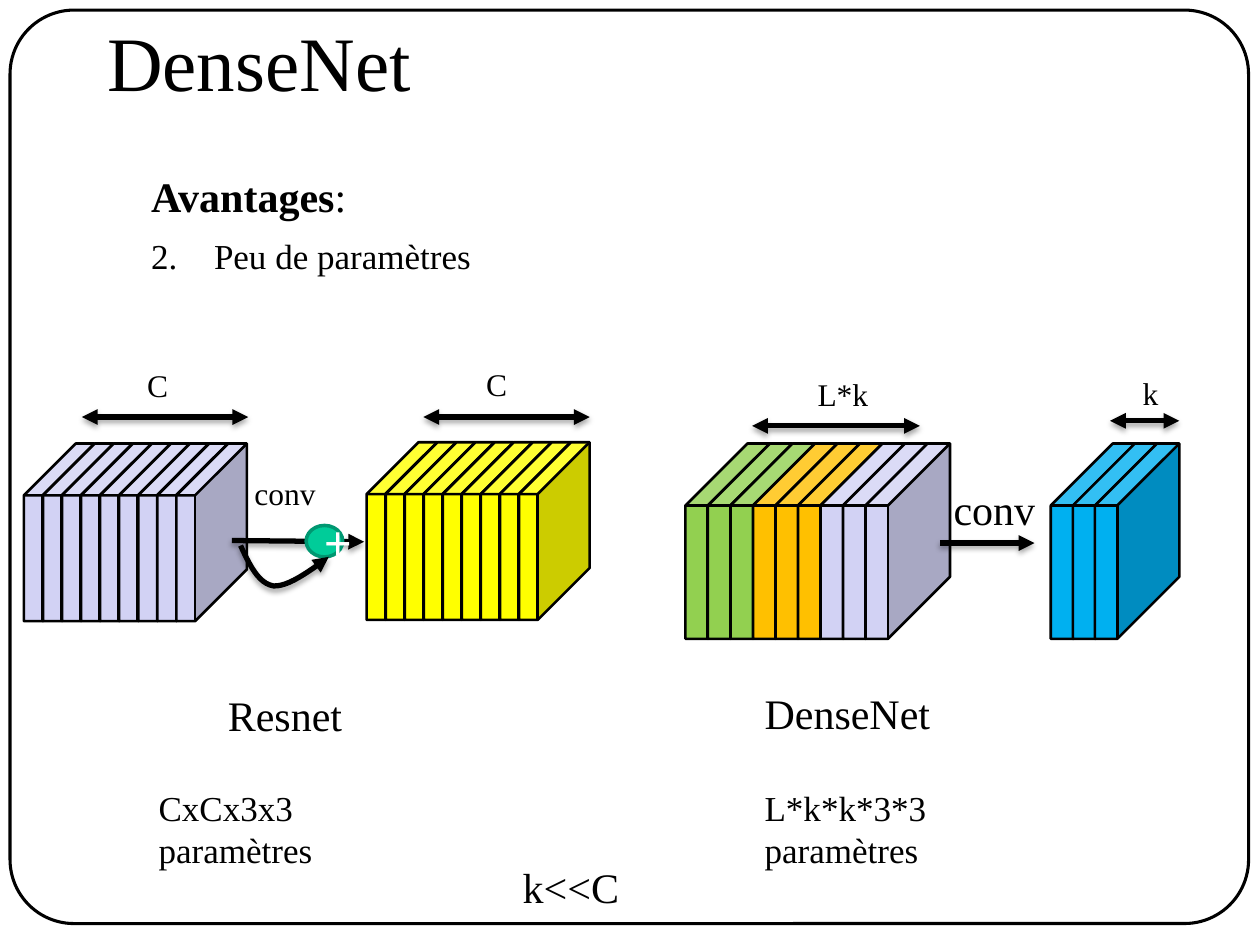
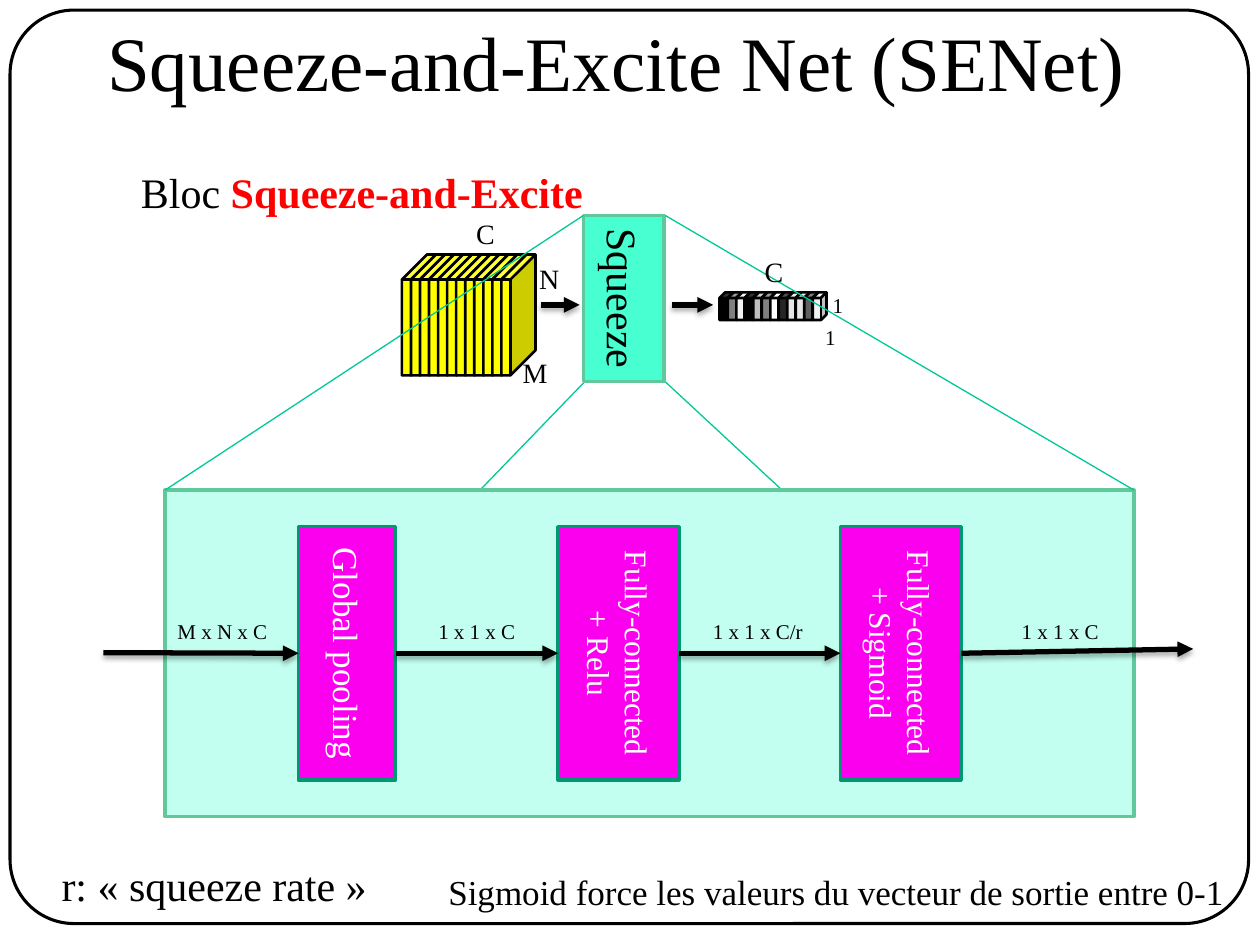
"""Build two slides on the DenseNet and Squeeze-and-Excite architectures."""
from lxml.etree import SubElement
from pptx import Presentation
from pptx.dml.color import RGBColor
from pptx.enum.shapes import MSO_CONNECTOR as CONNECTOR, MSO_SHAPE as SHAPE
from pptx.enum.text import MSO_ANCHOR as ANCHOR, PP_ALIGN as ALIGN
from pptx.oxml import parse_xml
from pptx.oxml.ns import nsdecls, qn
from pptx.util import Inches, Pt

FONT = "Times New Roman"
BLACK = RGBColor(0x00, 0x00, 0x00)
WHITE = RGBColor(0xFF, 0xFF, 0xFF)
RED = RGBColor(0xFF, 0x00, 0x00)
GREEN = RGBColor(0x92, 0xD0, 0x50)
ORANGE = RGBColor(0xFF, 0xC0, 0x00)
LAVENDER = RGBColor(0xD2, 0xD2, 0xF4)
YELLOW = RGBColor(0xFF, 0xFF, 0x00)
BLUE = RGBColor(0x00, 0xB0, 0xF0)
TEAL = RGBColor(0x00, 0xCC, 0x99)
DARK_TEAL = RGBColor(0x00, 0x97, 0x71)
FUNNEL_TEAL = RGBColor(0x00, 0xC8, 0x96)
EDGE_GREEN = RGBColor(0x60, 0xC9, 0x9C)
AQUA = RGBColor(0x47, 0xFF, 0xD1)
PALE_AQUA = RGBColor(0xC2, 0xFF, 0xF0)
MAGENTA = RGBColor(0xFA, 0x00, 0xEE)
CHANNEL_GREYS = [RGBColor(level, level, level) for level in (
    0x00, 0x80, 0xF2, 0x00, 0xBF, 0x80, 0xFF, 0x26, 0xE6, 0xE6, 0x60, 0xF2)]
SHADOW = (f'<a:effectLst {nsdecls("a")}><a:outerShdw blurRad="39370" dist="22860" dir="5400000">'
          '<a:srgbClr val="000000"><a:alpha val="35000"/></a:srgbClr></a:outerShdw></a:effectLst>')
NO_SHADOW = f'<a:effectLst {nsdecls("a")}/>'


def add_block(slide, kind, box, fill, edge, width, text="", size=18, colour=WHITE, vertical=False):
    """Add a preset shape with optional centred text."""
    shape = slide.shapes.add_shape(kind, *map(Inches, box))
    shape.shadow.inherit = False
    if fill is None:
        shape.fill.background()
    else:
        shape.fill.solid()
        shape.fill.fore_color.rgb = fill
    shape.line.color.rgb = edge
    shape.line.width = Pt(width)
    if text:
        shape.text_frame.text = text
        shape.text_frame.vertical_anchor = ANCHOR.MIDDLE
        if vertical:
            shape.element.find(".//" + qn("a:bodyPr")).set("vert", "vert")
        for paragraph in shape.text_frame.paragraphs:
            paragraph.alignment = ALIGN.CENTER
            font = paragraph.runs[0].font
            font.name, font.size, font.color.rgb = FONT, Pt(size), colour
    return shape


def add_line(slide, points, colour=BLACK, width=3, ends=("tailEnd",)):
    """Add a straight connector, or an open curve through more than two points."""
    points = [(Inches(x), Inches(y)) for x, y in points]
    if len(points) == 2:
        line = slide.shapes.add_connector(CONNECTOR.STRAIGHT, *points[0], *points[1])
    else:
        builder = slide.shapes.build_freeform(*points[0])
        builder.add_line_segments(points[1:], close=False)
        line = builder.convert_to_shape()
        line.fill.background()
    line.line.color.rgb = colour
    line.line.width = Pt(width)
    properties = line.element.spPr
    for end in ends:
        SubElement(properties.find(qn("a:ln")), qn(f"a:{end}"), type="triangle")
    properties.append(parse_xml(SHADOW if ends else NO_SHADOW))
    return line


presentation = Presentation()
presentation.slide_width, presentation.slide_height = Inches(10), Inches(7.5)

slides = []
for title_text in ("DenseNet", "Squeeze-and-Excite Net (SENet)"):
    slide = presentation.slides.add_slide(presentation.slide_layouts[5])
    frame = add_block(slide, SHAPE.ROUNDED_RECTANGLE, (0.08, 0.08, 9.83, 7.25), None, BLACK, 1.75)
    frame.adjustments[0] = 0.07
    title = slide.shapes.title
    title.left, title.top, title.width, title.height = map(Inches, (0.75, -0.14, 8.5, 1.25))
    title.text_frame.text = title_text
    title.text_frame.vertical_anchor = ANCHOR.MIDDLE
    paragraph = title.text_frame.paragraphs[0]
    paragraph.alignment = ALIGN.LEFT
    font = paragraph.runs[0].font
    font.name, font.size, font.color.rgb = FONT, Pt(44), BLACK
    slides.append(slide)
dense_slide, squeeze_slide = slides

for corner, panel_corner in (((5.28, 3.03), (9, 6.48)), ((4.64, 3.03), (1.31, 6.48))):
    add_line(squeeze_slide, (corner, panel_corner), FUNNEL_TEAL, 0.75, ())

stacks = [
    (dense_slide, 5.44, 6.87, 3.52, 0.67, 1.55, 0.735, [GREEN] * 3 + [ORANGE] * 3 + [LAVENDER] * 3),
    (dense_slide, 8.34, 8.69, 3.52, 0.67, 1.55, 0.735, [BLUE] * 3),
    (dense_slide, 0.19, 1.4, 3.52, 0.56, 1.41, 0.735, [LAVENDER] * 9),
    (dense_slide, 2.91, 4.12, 3.51, 0.56, 1.41, 0.735, [YELLOW] * 9),
    (squeeze_slide, 5.71, 6.45, 2.32, 0.11, 0.22, 0.41, CHANNEL_GREYS),
    (squeeze_slide, 3.19, 3.98, 2.02, 0.27, 0.96, 0.735, [YELLOW] * 12),
]
for slide, first, last, top, width, height, depth, colours in stacks:
    step = (last - first) / (len(colours) - 1)
    for index, colour in enumerate(colours):
        cube = add_block(slide, SHAPE.CUBE, (first + index * step, top, width, height), colour, BLACK, 1.5)
        cube.adjustments[0] = depth

add_line(dense_slide, ((7.46, 4.31), (8.21, 4.31)))
add_line(dense_slide, ((1.84, 4.29), (2.89, 4.3)))
addition = add_block(dense_slide, SHAPE.OVAL, (2.43, 4.17, 0.29, 0.25), TEAL, DARK_TEAL, 2, "+", 28)
addition.text_frame.paragraphs[0].runs[0].font.bold = True

skip_points = [(1.91, 4.33)]
for controls in (((1.91, 4.33), (1.98, 4.48), (2.05, 4.63), (2.17, 4.65)),
                 ((2.17, 4.65), (2.28, 4.66), (2.45, 4.54), (2.61, 4.42))):
    for step in range(1, 13):
        t = step / 12
        weights = ((1 - t) ** 3, 3 * t * (1 - t) ** 2, 3 * t ** 2 * (1 - t), t ** 3)
        skip_points.append(tuple(sum(weight * value for weight, value in zip(weights, axis))
                                 for axis in zip(*controls)))
add_line(dense_slide, skip_points)

for left, right, y in ((0.65, 1.97, 3.31), (3.36, 4.68, 3.31), (5.97, 7.3, 3.38), (8.81, 9.36, 3.34)):
    add_line(dense_slide, ((left, y), (right, y)), ends=("headEnd", "tailEnd"))

add_block(squeeze_slide, SHAPE.RECTANGLE, (4.63, 1.71, 0.64, 1.32), AQUA, EDGE_GREEN, 2,
          "Squeeze", 24, BLACK, True)
add_line(squeeze_slide, ((4.29, 2.42), (4.6, 2.42)))
add_line(squeeze_slide, ((5.33, 2.42), (5.66, 2.42)))
add_block(squeeze_slide, SHAPE.RECTANGLE, (1.31, 3.89, 7.69, 2.59), PALE_AQUA, EDGE_GREEN, 2)
for corner, panel_corner in (((4.63, 1.71), (1.31, 3.89)), ((5.28, 1.71), (9, 3.89))):
    add_line(squeeze_slide, (corner, panel_corner), FUNNEL_TEAL, 0.75, ())

layers = [add_block(squeeze_slide, SHAPE.RECTANGLE, (left, 4.18, width, 2.01), MAGENTA, DARK_TEAL, 2,
                    text, size, WHITE, True)
          for left, width, text, size in ((2.37, 0.77, "Global pooling", 20),
                                          (4.43, 0.96, "Fully-connected\n+ Relu", 18),
                                          (6.67, 0.96, "Fully-connected\n+ Sigmoid", 18))]
flow = [((0.82, 5.18), (2.37, 5.18)), ((3.14, 5.18), (4.43, 5.18)),
        ((5.39, 5.18), (6.67, 5.18)), ((7.63, 5.18), (9.47, 5.15))]
for points, source, target in zip(flow, [None] + layers, layers + [None]):
    arrow = add_line(squeeze_slide, points)
    if source:
        arrow.begin_connect(source, 3)
    if target:
        arrow.end_connect(target, 1)

labels = [
    (dense_slide, 1.71, 5.42, 1.12, 0.5, 24, "Resnet"),
    (dense_slide, 5.97, 5.41, 1.53, 0.5, 24, "DenseNet"),
    (dense_slide, 7.47, 3.79, 0.86, 0.5, 24, "conv"),
    (dense_slide, 1.92, 3.71, 0.69, 0.4, 18, "conv"),
    (dense_slide, 1.07, 2.86, 0.37, 0.4, 18, "C"),
    (dense_slide, 3.76, 2.85, 0.37, 0.4, 18, "C"),
    (dense_slide, 6.39, 2.93, 0.61, 0.4, 18, "L*k"),
    (dense_slide, 8.97, 2.92, 0.33, 0.4, 18, "k"),
    (dense_slide, 1.16, 6.19, 2.55, 0.44, 20, "CxCx3x3 paramètres"),
    (dense_slide, 5.97, 6.19, 2.77, 0.44, 20, "L*k*k*3*3 paramètres"),
    (dense_slide, 4.05, 6.79, 0.97, 0.5, 24, "k<<C"),
    (squeeze_slide, 5.97, 1.97, 0.35, 0.37, 16, "C"),
    (squeeze_slide, 6.51, 2.27, 0.29, 0.3, 12, "1"),
    (squeeze_slide, 6.45, 2.53, 0.29, 0.3, 12, "1"),
    (squeeze_slide, 3.68, 1.67, 0.35, 0.37, 16, "C"),
    (squeeze_slide, 4.18, 2.03, 0.36, 0.37, 16, "N"),
    (squeeze_slide, 4.05, 2.77, 0.4, 0.37, 16, "M"),
    (squeeze_slide, 1.31, 4.86, 0.92, 0.3, 12, "M x N x C"),
    (squeeze_slide, 3.38, 4.86, 0.82, 0.3, 12, "1 x 1 x C"),
    (squeeze_slide, 5.56, 4.86, 0.92, 0.3, 12, "1 x 1 x C/r"),
    (squeeze_slide, 8.01, 4.86, 0.82, 0.3, 12, "1 x 1 x C"),
    (squeeze_slide, 0.39, 6.77, 2.73, 0.5, 24, "r: « squeeze rate »"),
    (squeeze_slide, 3.46, 6.86, 6.4, 0.44, 20, "Sigmoid force les valeurs du vecteur de sortie entre 0-1"),
]
for slide, left, top, width, height, size, text in labels:
    label = slide.shapes.add_textbox(*map(Inches, (left, top, width, height)))
    label.text_frame.word_wrap = False
    label.text_frame.text = text
    font = label.text_frame.paragraphs[0].runs[0].font
    font.name, font.size, font.color.rgb = FONT, Pt(size), BLACK

headings = [
    (squeeze_slide, (1.02, 1.27, 4.2, 0.5), (("Bloc ", False, BLACK), ("Squeeze-and-Excite", True, RED))),
    (dense_slide, (1.1, 1.3, 8.15, 0.95), (("Avantages", True, BLACK), (":", False, BLACK))),
]
for slide, box, runs in headings:
    heading = slide.shapes.add_textbox(*map(Inches, box))
    heading.text_frame.word_wrap = True
    for text, bold, colour in runs:
        run = heading.text_frame.paragraphs[0].add_run()
        run.text = text
        run.font.name, run.font.size, run.font.bold = FONT, Pt(24), bold
        run.font.color.rgb = colour

advantage = heading.text_frame.add_paragraph()
advantage.text = "Peu de paramètres"
advantage.space_before = Pt(8)
properties = advantage._p.get_or_add_pPr()
properties.set("marL", str(Inches(0.5)))
properties.set("indent", str(-Inches(0.5)))
SubElement(properties, qn("a:buFont"), typeface=FONT)
SubElement(properties, qn("a:buAutoNum"), type="arabicPeriod", startAt="2")
font = advantage.runs[0].font
font.name, font.size, font.color.rgb = FONT, Pt(20), BLACK

presentation.save("out.pptx")
